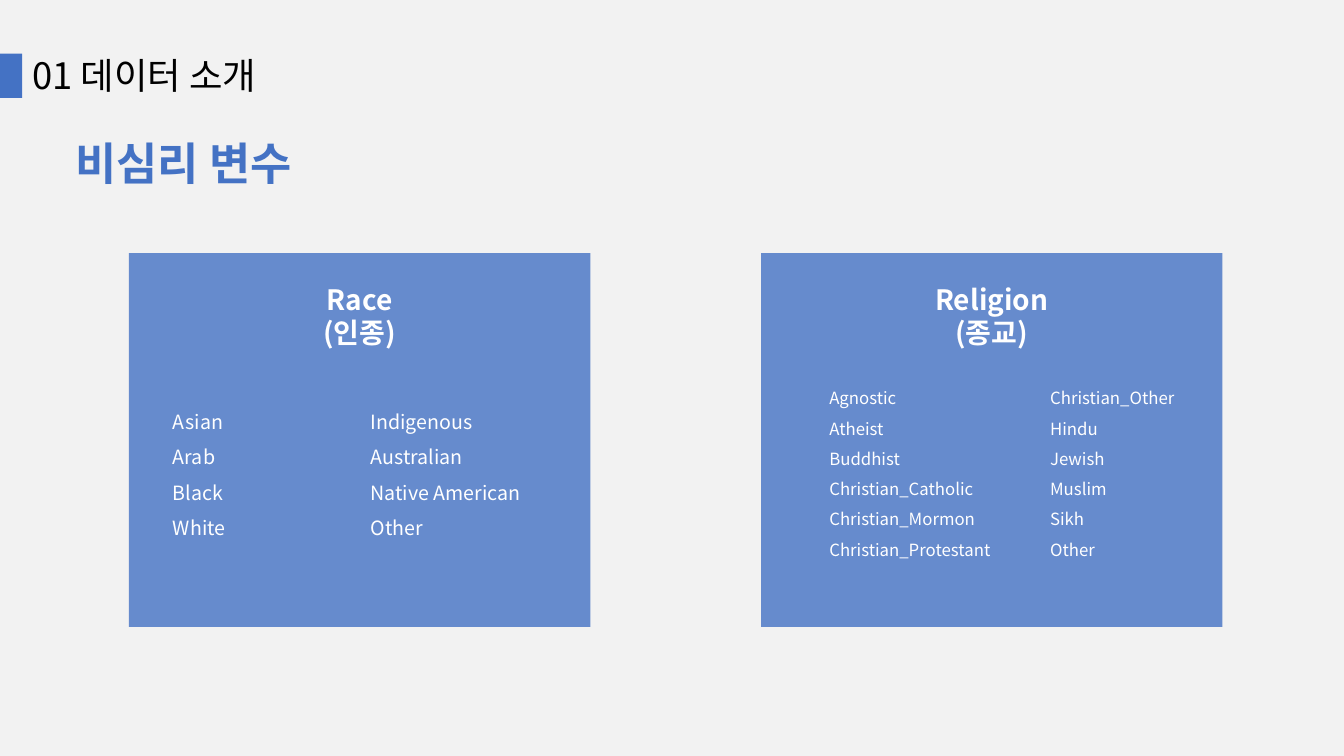
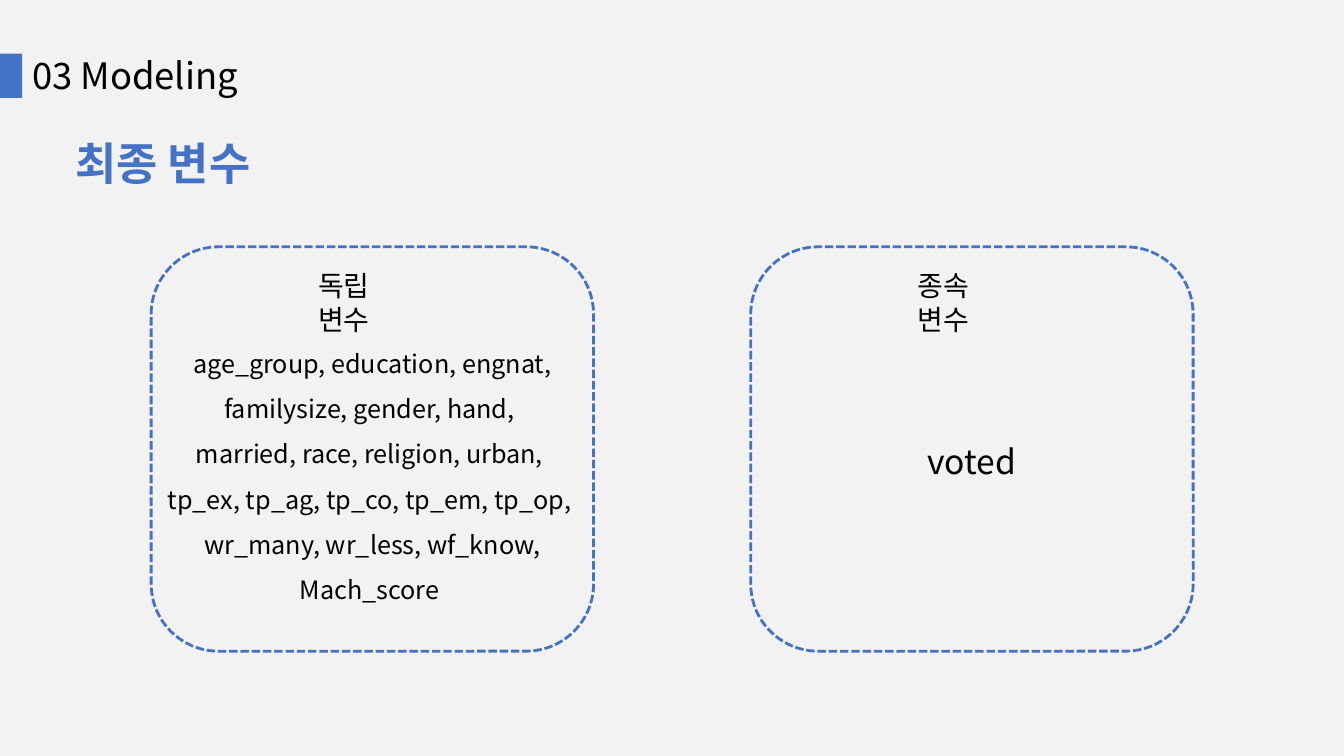
"""Build two slides on the variables of a survey model."""
from lxml.etree import SubElement
from pptx import Presentation
from pptx.dml.color import RGBColor
from pptx.enum.dml import MSO_LINE
from pptx.enum.shapes import MSO_SHAPE as Shape
from pptx.enum.text import MSO_AUTO_SIZE as Fit, PP_ALIGN as Align
from pptx.oxml.ns import qn
from pptx.util import Cm, Pt

FONT = "Noto Sans CJK KR"
BLUE = RGBColor(0x44, 0x72, 0xC4)
GREY = RGBColor(0xF2, 0xF2, 0xF2)
WHITE = RGBColor(0xFF, 0xFF, 0xFF)
BLACK = RGBColor(0, 0, 0)

CARDS = [
    {"head": ["Race", "(인종)"], "size": 14, "box": (4.11, 9.91, 10.46, 3.84),
     "items": ["Asian", "Arab", "Black", "White", "Indigenous Australian",
               "Native American", "Other"]},
    {"head": ["Religion", "(종교)"], "size": 12, "box": (20.65, 9.4, 11.63, 4.85),
     "items": ["Agnostic", "Atheist", "Buddhist", "Christian_Catholic",
               "Christian_Mormon", "Christian_Protestant Christian_Other",
               "Hindu", "Jewish", "Muslim", "Sikh", "Other"]},
]
FRAMES = [
    {"label": "독립 변수", "size": 18, "top": 8.26, "height": 8.23,
     "lines": ["age_group, education, engnat, familysize, gender, hand, ",
               "married, race, religion, urban, ",
               "tp_ex, tp_ag, tp_co, tp_em, tp_op, ",
               "wr_many, wr_less, wf_know,", "Mach_score "]},
    {"label": "종속 변수", "size": 24, "top": 10.49, "height": 1.65,
     "lines": ["voted"]},
]
CARD_X, CARD_Y, CARD_W, CARD_H, CARD_STEP = 3.25, 6.38, 11.63, 9.42, 15.93
FRAME_X, FRAME_Y, FRAME_W, FRAME_H, FRAME_STEP = 3.81, 6.22, 11.15, 10.19, 15.11


def add_box(slide, kind, box, fill=None, alpha=None, line=None):
    shape = slide.shapes.add_shape(kind, *map(Cm, box))
    shape.shadow.inherit = False
    if fill is None:
        shape.fill.background()
    else:
        shape.fill.solid()
        shape.fill.fore_color.rgb = fill
    if alpha:
        tint = shape._element.spPr.find(".//" + qn("a:srgbClr"))
        SubElement(tint, qn("a:alpha")).set("val", str(alpha * 1000))
    if line is None:
        shape.line.fill.background()
    else:
        shape.line.color.rgb = line
        shape.line.width = Pt(2)
        shape.line.dash_style = MSO_LINE.SQUARE_DOT


def add_text(slide, lines, box, size, color, bold=False, align=Align.LEFT,
             space=None, cols=1):
    frame = slide.shapes.add_textbox(*map(Cm, box)).text_frame
    frame.word_wrap = True
    frame.auto_size = Fit.SHAPE_TO_FIT_TEXT
    if cols > 1:
        frame._txBody.bodyPr.set("numCol", str(cols))
    frame.text = "\n".join(lines)
    for para in frame.paragraphs:
        para.alignment = align
        if space:
            para.line_spacing = space
        font = para.font
        font.name, font.size, font.bold = FONT, Pt(size), bold
        font.color.rgb = color
        SubElement(font._rPr, qn("a:ea")).set("typeface", FONT)


def add_slide(prs, title, topic):
    slide = prs.slides.add_slide(prs.slide_layouts[6])
    add_box(slide, Shape.RECTANGLE, (0, 1.35, 0.56, 1.12), BLUE)
    add_text(slide, [title], (0.56, 1.22, 16.94, 1.37), 26, BLACK)
    add_text(slide, [topic], (1.65, 3.3, 19, 1.63), 32, BLUE, bold=True)
    return slide


def add_cards(slide):
    for i, card in enumerate(CARDS):
        left = CARD_X + i * CARD_STEP
        add_box(slide, Shape.RECTANGLE, (left, CARD_Y, CARD_W, CARD_H), BLUE, 80)
        add_text(slide, card["head"], (left, 6.99, CARD_W, 1.96), 20, WHITE,
                 bold=True, align=Align.CENTER)
        add_text(slide, card["items"], card["box"], card["size"], WHITE,
                 space=1.5, cols=2)


def add_frames(slide):
    for i, part in enumerate(FRAMES):
        left = FRAME_X + i * FRAME_STEP
        add_box(slide, Shape.ROUNDED_RECTANGLE,
                (left, FRAME_Y, FRAME_W, FRAME_H), line=BLUE)
        add_text(slide, [part["label"]], (left + 3.96, 6.65, 3.1, 1.9), 20, BLACK)
        add_text(slide, part["lines"], (left, part["top"], FRAME_W, part["height"]),
                 part["size"], BLACK, align=Align.CENTER, space=1.5)


def main():
    prs = Presentation()
    prs.slide_width, prs.slide_height = Cm(33.87), Cm(19.05)
    back = prs.slide_master.background.fill
    back.solid()
    back.fore_color.rgb = GREY
    add_cards(add_slide(prs, "01 데이터 소개", "비심리 변수"))
    add_frames(add_slide(prs, "03 Modeling", "최종 변수"))
    prs.save("out.pptx")


if __name__ == "__main__":
    main()
